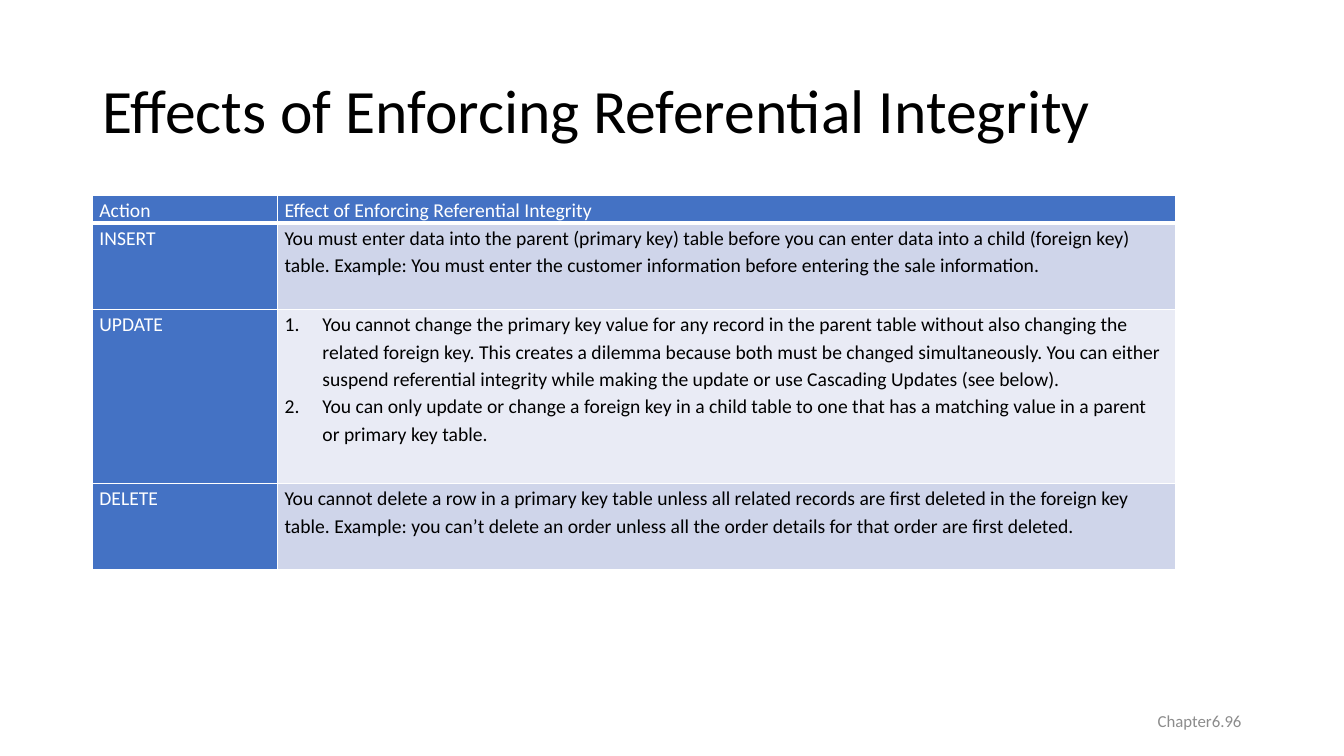
from dataclasses import dataclass

from lxml import etree
from pptx import Presentation
from pptx.dml.color import RGBColor
from pptx.enum import text as tx
from pptx.oxml import ns
from pptx.util import Pt

WHITE, BLACK, GREY = "FFFFFF", "000000", "8C8C8C"
BLUE, BAND_DARK, BAND_LIGHT = "4472C4", "CFD5EA", "E9EBF5"


@dataclass
class ActionRow:
    action: str
    effects: list[str]
    height: float
    fill: str
    color: str = BLACK
    bottom_border: float = 1
    numbered: bool = False


ROWS = [
    ActionRow("Action", ["Effect of Enforcing Referential Integrity"],
              16, BLUE, WHITE, bottom_border=3),
    ActionRow("INSERT", [
        "You must enter data into the parent (primary key) table before you can enter "
        "data into a child (foreign key) table. Example: You must enter the customer "
        "information before entering the sale information."], 61.7, BAND_DARK),
    ActionRow("UPDATE", [
        "You cannot change the primary key value for any record in the parent table "
        "without also changing the related foreign key. This creates a dilemma because "
        "both must be changed simultaneously. You can either suspend referential "
        "integrity while making the update or use Cascading Updates (see below).",
        "You can only update or change a foreign key in a child table to one that has a "
        "matching value in a parent or primary key table."],
        124.5, BAND_LIGHT, numbered=True),
    ActionRow("DELETE", [
        "You cannot delete a row in a primary key table unless all related records are "
        "first deleted in the foreign key table. Example: you can’t delete an order "
        "unless all the order details for that order are first deleted."],
        61.7, BAND_DARK),
]


def rgb(value: str) -> RGBColor:
    return RGBColor.from_string(value)


def write(frame, lines: list[str], *, size: float, color: str = BLACK,
          align=tx.PP_ALIGN.LEFT, spacing: float = 1.0, numbered: bool = False) -> None:
    for index, line in enumerate(lines):
        paragraph = frame.add_paragraph() if index else frame.paragraphs[0]
        paragraph.alignment = align
        paragraph.line_spacing = spacing
        run = paragraph.add_run()
        run.text = line
        run.font.name = "Calibri"
        run.font.size = Pt(size)
        run.font.bold = False
        run.font.color.rgb = rgb(color)
        if numbered:
            properties = paragraph._p.get_or_add_pPr()
            properties.set("marL", str(Pt(27)))
            properties.set("indent", str(Pt(-27)))
            etree.SubElement(properties, ns.qn("a:buAutoNum"), type="arabicPeriod")


def set_borders(cell, top: float, bottom: float) -> None:
    properties = cell._tc.get_or_add_tcPr()
    widths = {"a:lnL": 1, "a:lnR": 1, "a:lnT": top, "a:lnB": bottom}
    for position, (side, width) in enumerate(widths.items()):
        line = etree.Element(ns.qn(side), w=str(Pt(width)))
        fill = etree.SubElement(line, ns.qn("a:solidFill"))
        etree.SubElement(fill, ns.qn("a:srgbClr"), val=WHITE)
        properties.insert(position, line)


def format_cell(cell, lines: list[str], fill: str, color: str, row: ActionRow,
                top: float, numbered: bool = False) -> None:
    cell.margin_left = cell.margin_right = Pt(5.04)
    cell.margin_top = cell.margin_bottom = Pt(0)
    cell.fill.solid()
    cell.fill.fore_color.rgb = rgb(fill)
    set_borders(cell, top, row.bottom_border)
    write(cell.text_frame, lines, size=14, color=color, spacing=1.15, numbered=numbered)


def add_effects_table(slide) -> None:
    table = slide.shapes.add_table(
        len(ROWS), 2, Pt(66), Pt(139.7), Pt(774), Pt(264)).table
    table.first_row = table.horz_banding = False
    for column, width in zip(table.columns, (132.3, 641.7)):
        column.width = Pt(width)
    top = 1
    for index, row in enumerate(ROWS):
        table.rows[index].height = Pt(row.height)
        format_cell(table.cell(index, 0), [row.action], BLUE, WHITE, row, top)
        format_cell(table.cell(index, 1), row.effects, row.fill, row.color, row, top,
                    row.numbered)
        top = row.bottom_border


def main() -> None:
    deck = Presentation()
    deck.slide_width, deck.slide_height = Pt(960), Pt(540)
    slide = deck.slides.add_slide(deck.slide_layouts[5])

    title = slide.shapes.title
    title.left, title.top, title.width, title.height = Pt(66), Pt(28.75), Pt(828), Pt(104.4)
    title.text_frame.vertical_anchor = tx.MSO_ANCHOR.MIDDLE
    write(title.text_frame, ["Effects of Enforcing Referential Integrity"],
          size=44, spacing=0.9)

    add_effects_table(slide)

    page_number = slide.shapes.add_textbox(Pt(678), Pt(500.5), Pt(216), Pt(28.75)).text_frame
    page_number.word_wrap = True
    page_number.vertical_anchor = tx.MSO_ANCHOR.MIDDLE
    write(page_number, ["Chapter6.96"], size=12, color=GREY, align=tx.PP_ALIGN.RIGHT)

    deck.save("out.pptx")


if __name__ == "__main__":
    main()
